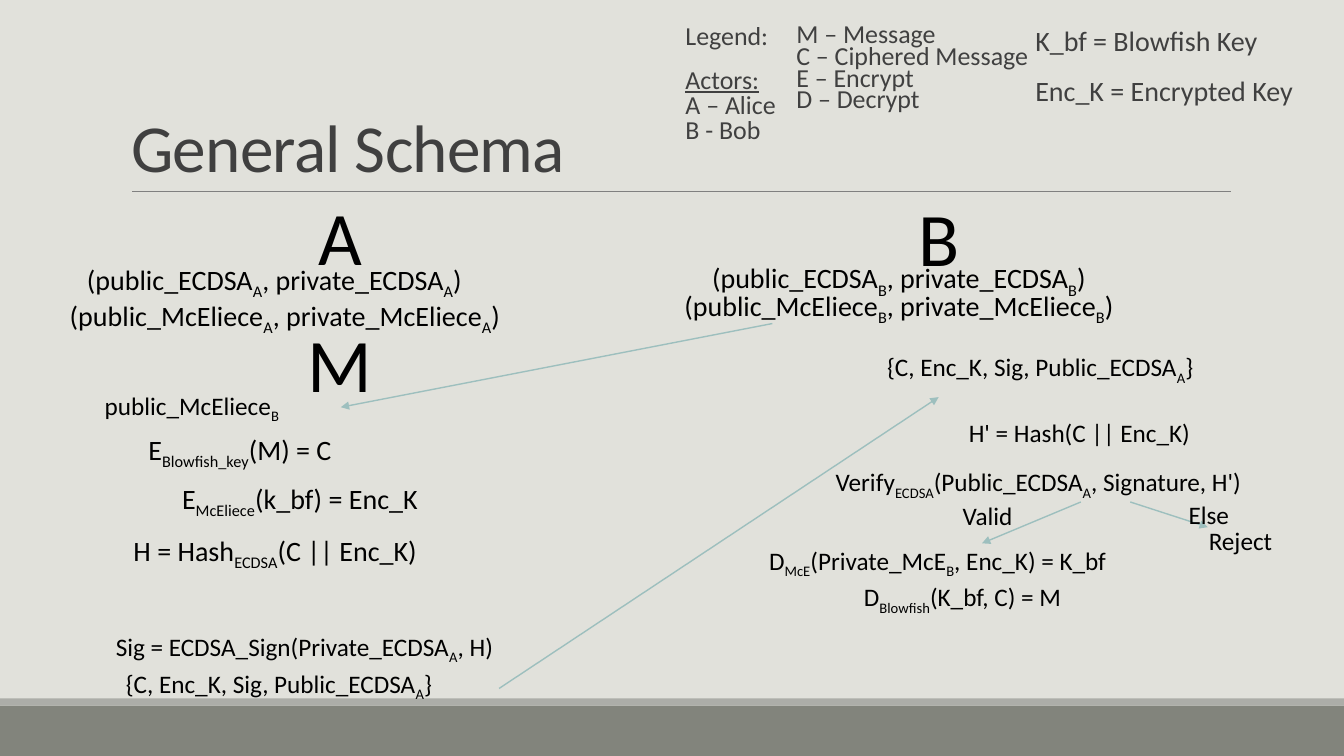
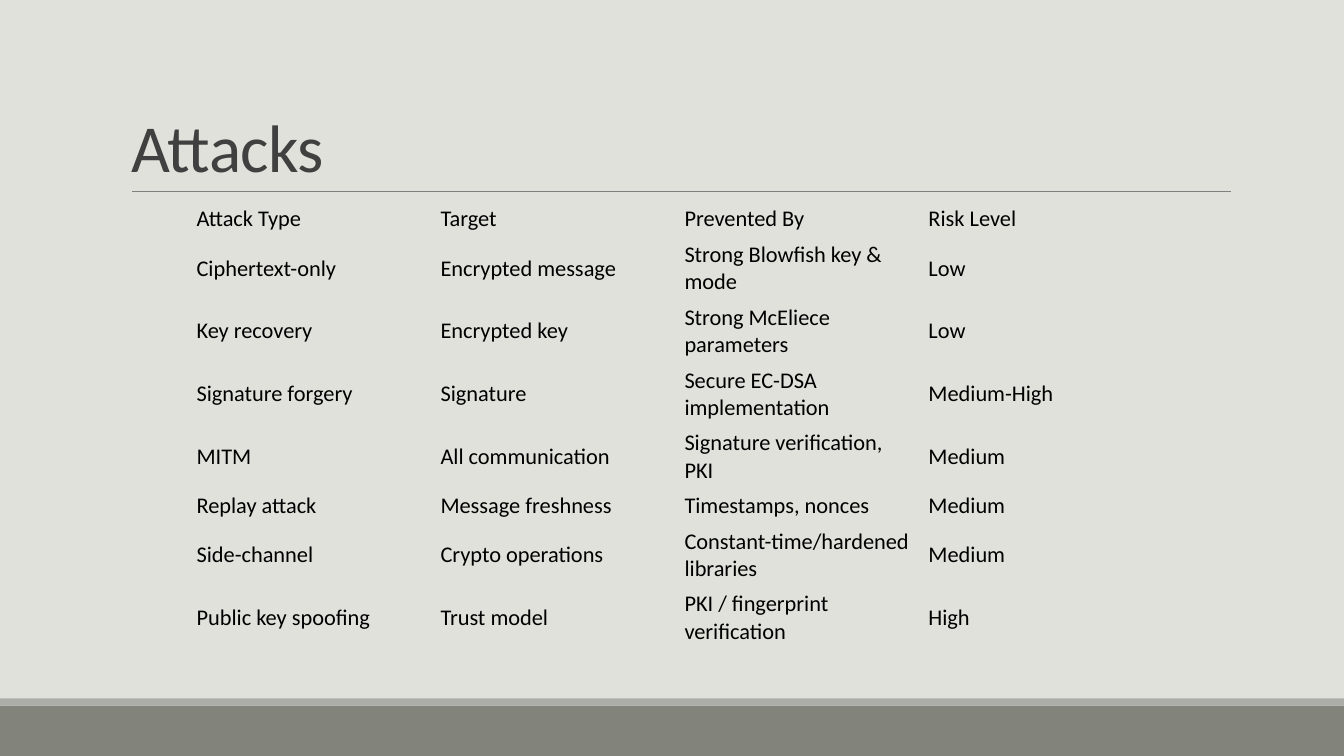
from lxml.etree import SubElement
from pptx import Presentation
from pptx.dml.color import RGBColor
from pptx.enum.shapes import MSO_CONNECTOR as Connector, MSO_SHAPE as Shape
from pptx.enum.text import MSO_ANCHOR as Anchor, MSO_AUTO_SIZE as AutoSize, PP_ALIGN as Align
from pptx.oxml.ns import qn
from pptx.util import Inches, Pt

PAPER = RGBColor(0xE1, 0xE1, 0xDB)
BAND = RGBColor(0x82, 0x84, 0x7C)
BAND_EDGE = RGBColor(0xAC, 0xAD, 0xA8)
RULE = RGBColor(0x80, 0x80, 0x80)
ACCENT = RGBColor(0x9D, 0xBF, 0xBE)
GREY = RGBColor(0x40, 0x40, 0x40)
BLACK = RGBColor(0, 0, 0)
FONT = "Calibri"
PLAIN_TABLE = "{2D5ABB26-0587-4C30-8999-92F81FD0307C}"
BOX_HEIGHTS = {54: 1.01, 20: 0.44, 18: 0.4}

# left, top, width, size, text; a tilde switches subscript on and off
CENTRED = [
    (3.06, 1.83, 0.64, 54, "A"),
    (9.01, 1.84, 0.61, 54, "B"),
    (2.95, 3.09, 0.85, 54, "M"),
    (0.73, 2.56, 3.98, 20, "(public_ECDSA~A~, private_ECDSA~A~)"),
    (0.56, 2.91, 4.53, 20, "(public_McEliece~A~, private_McEliece~A~)"),
    (6.93, 2.54, 3.97, 20, "(public_ECDSA~B~, private_ECDSA~B~)"),
    (6.65, 2.81, 4.53, 20, "(public_McEliece~B~, private_McEliece~B~)"),
    (1.3, 4.24, 2.16, 20, "E~Blowfish_key~(M) = C"),
    (0.24, 4.73, 5.47, 20, "E~McEliece~(k_bf) = Enc_K"),
    (0.08, 5.24, 5.3, 20, "H = Hash~ECDSA~(C || Enc_K)"),
]
LEFT_ALIGNED = [
    (0.94, 3.82, 2.45, 18, "public_McEliece~B~"),
    (1.05, 6.21, 5.3, 18, "Sig = ECDSA_Sign(Private_ECDSA~A~, H)"),
    (1.15, 6.58, 3.8, 18, "{C, Enc_K, Sig, Public_ECDSA~A~}"),
    (8.7, 3.44, 3.8, 18, "{C, Enc_K, Sig, Public_ECDSA~A~}"),
    (9.51, 4.09, 2.69, 18, "H' = Hash(C || Enc_K)"),
    (8.19, 4.58, 5.47, 18, "Verify~ECDSA~(Public_ECDSA~A~, Signature, H')"),
    (9.45, 4.91, 0.78, 18, "Valid"),
    (11.69, 4.9, 0.78, 18, "Else"),
    (11.89, 5.16, 0.98, 18, "Reject"),
    (7.53, 5.36, 5.03, 18, "D~McE~(Private_McE~B~, Enc_K) = K_bf"),
    (8.47, 5.72, 2.41, 18, "D~Blowfish~(K_bf, C) = M"),
]
ARROWS = [
    ((7.66, 3.21), (3.38, 4.04)),
    ((4.95, 6.83), (9.31, 3.94)),
    ((10.72, 4.98), (9.74, 5.39)),
    ((11.21, 4.98), (11.98, 5.23)),
]
ATTACKS = [
    ("Attack Type", "Target", "Prevented By", "Risk Level"),
    ("Ciphertext-only", "Encrypted message", "Strong Blowfish key & mode", "Low"),
    ("Key recovery", "Encrypted key", "Strong McEliece parameters", "Low"),
    ("Signature forgery", "Signature", "Secure EC-DSA implementation", "Medium-High"),
    ("MITM", "All communication", "Signature verification, PKI", "Medium"),
    ("Replay attack", "Message freshness", "Timestamps, nonces", "Medium"),
    ("Side-channel", "Crypto operations", "Constant-time/hardened libraries", "Medium"),
    ("Public key spoofing", "Trust model", "PKI / fingerprint verification", "High"),
]
ROW_HEIGHTS = [0.35, 0.62, 0.62, 0.62, 0.62, 0.35, 0.62, 0.62]


class DeckBuilder:
    """Holds the deck, its style and the slide being filled."""

    def __init__(self):
        self.deck = Presentation()
        self.deck.slide_width = Inches(13.33)
        self.deck.slide_height = Inches(7.5)
        fill = self.deck.slide_master.background.fill
        fill.solid()
        fill.fore_color.rgb = PAPER
        self.page = None

    def add_page(self, title):
        layout = self.deck.slide_layouts.get_by_name("Title Only")
        self.page = self.deck.slides.add_slide(layout)
        self.band(7, 0.5, BAND)
        self.band(6.93, 0.07, BAND_EDGE)
        self.line((1.31, 1.9), (12.21, 1.9), RULE, 0.5)
        box = self.page.shapes.title
        box.left, box.top = Inches(1.2), Inches(0.31)
        box.width, box.height = Inches(11), Inches(1.59)
        frame = box.text_frame
        frame.auto_size = AutoSize.NONE
        frame.vertical_anchor = Anchor.BOTTOM
        para = frame.paragraphs[0]
        para.alignment = Align.LEFT
        para.line_spacing = 0.85
        span = self.span(para, title, 48, GREY)
        span.font._element.set("spc", "-50")

    def span(self, para, text, size, color=BLACK):
        span = para.add_run()
        span.text = text
        span.font.name = FONT
        span.font.size = Pt(size)
        span.font.color.rgb = color
        return span

    def band(self, top, height, color):
        band = self.page.shapes.add_shape(
            Shape.RECTANGLE, 0, Inches(top), self.deck.slide_width, Inches(height))
        band.shadow.inherit = False
        band.fill.solid()
        band.fill.fore_color.rgb = color
        band.line.fill.background()

    def line(self, start, end, color, width):
        ends = [Inches(value) for value in (*start, *end)]
        line = self.page.shapes.add_connector(Connector.STRAIGHT, *ends)
        line.line.color.rgb = color
        line.line.width = Pt(width)
        SubElement(line._element.spPr, qn("a:effectLst"))
        return line

    def arrow(self, start, end):
        arrow = self.line(start, end, ACCENT, 1)
        outline = arrow._element.spPr.find(qn("a:ln"))
        SubElement(outline, qn("a:tailEnd"), type="triangle")

    def text_frame(self, left, top, width, height):
        box = self.page.shapes.add_textbox(
            Inches(left), Inches(top), Inches(width), Inches(height))
        box.text_frame.word_wrap = True
        return box.text_frame

    def formula(self, left, top, width, size, text, centred=False):
        """Write text whose parts between tildes are subscripts."""
        frame = self.text_frame(left, top, width, BOX_HEIGHTS[size])
        frame.word_wrap = not centred
        para = frame.paragraphs[0]
        para.alignment = Align.CENTER if centred else Align.LEFT
        for index, part in enumerate(text.split("~")):
            if part:
                span = self.span(para, part, size)
                if index % 2:
                    span.font._element.set("baseline", "-25000")

    def legend(self, left, top, width, size, spacing, groups, underlined=None):
        """Write each group of lines as one paragraph."""
        frame = self.text_frame(left, top, width, 1.37)
        frame.margin_left, frame.margin_right = Inches(0.1), 0
        for number, lines in enumerate(groups):
            para = frame.add_paragraph() if number else frame.paragraphs[0]
            para.line_spacing = spacing
            para.space_before, para.space_after = Pt(12), Pt(2)
            for index, text in enumerate(lines):
                if index:
                    para.add_line_break()
                span = self.span(para, text, size, GREY)
                span.font.underline = text == underlined

    def table(self, left, top, column_width, row_heights, rows):
        columns = len(rows[0])
        table = self.page.shapes.add_table(
            len(rows), columns, Inches(left), Inches(top),
            Inches(column_width * columns), Inches(sum(row_heights))).table
        table.first_row = table.horz_banding = False
        table._tbl.tblPr.find(qn("a:tableStyleId")).text = PLAIN_TABLE
        for column in table.columns:
            column.width = Inches(column_width)
        for row, height, texts in zip(table.rows, row_heights, rows):
            row.height = Inches(height)
            for cell, text in zip(row.cells, texts):
                cell.fill.background()
                cell.vertical_anchor = Anchor.MIDDLE
                cell.margin_left = cell.margin_right = Inches(0.09)
                cell.margin_top = cell.margin_bottom = Inches(0.04)
                self.span(cell.text_frame.paragraphs[0], text, 16)


def add_schema(builder):
    builder.add_page("General Schema")
    builder.legend(6.7, 0.2, 1.32, 18.5, 0.8,
                   [["Legend:"], ["Actors:", "A – Alice", "B - Bob"]], "Actors:")
    builder.legend(7.8, 0.21, 2.43, 18.5, 0.7,
                   [["M – Message", "C – Ciphered Message", "E – Encrypt", "D – Decrypt"]])
    builder.legend(10.17, 0.22, 2.84, 20, 0.9,
                   [["K_bf = Blowfish Key"], ["Enc_K = Encrypted Key"]])
    for start, end in ARROWS:
        builder.arrow(start, end)
    for formula in CENTRED:
        builder.formula(*formula, centred=True)
    for formula in LEFT_ALIGNED:
        builder.formula(*formula)


def add_attacks(builder):
    builder.add_page("Attacks")
    builder.table(1.86, 2, 2.42, ROW_HEIGHTS, ATTACKS)


def main():
    builder = DeckBuilder()
    add_schema(builder)
    add_attacks(builder)
    builder.deck.save("out.pptx")


if __name__ == "__main__":
    main()
